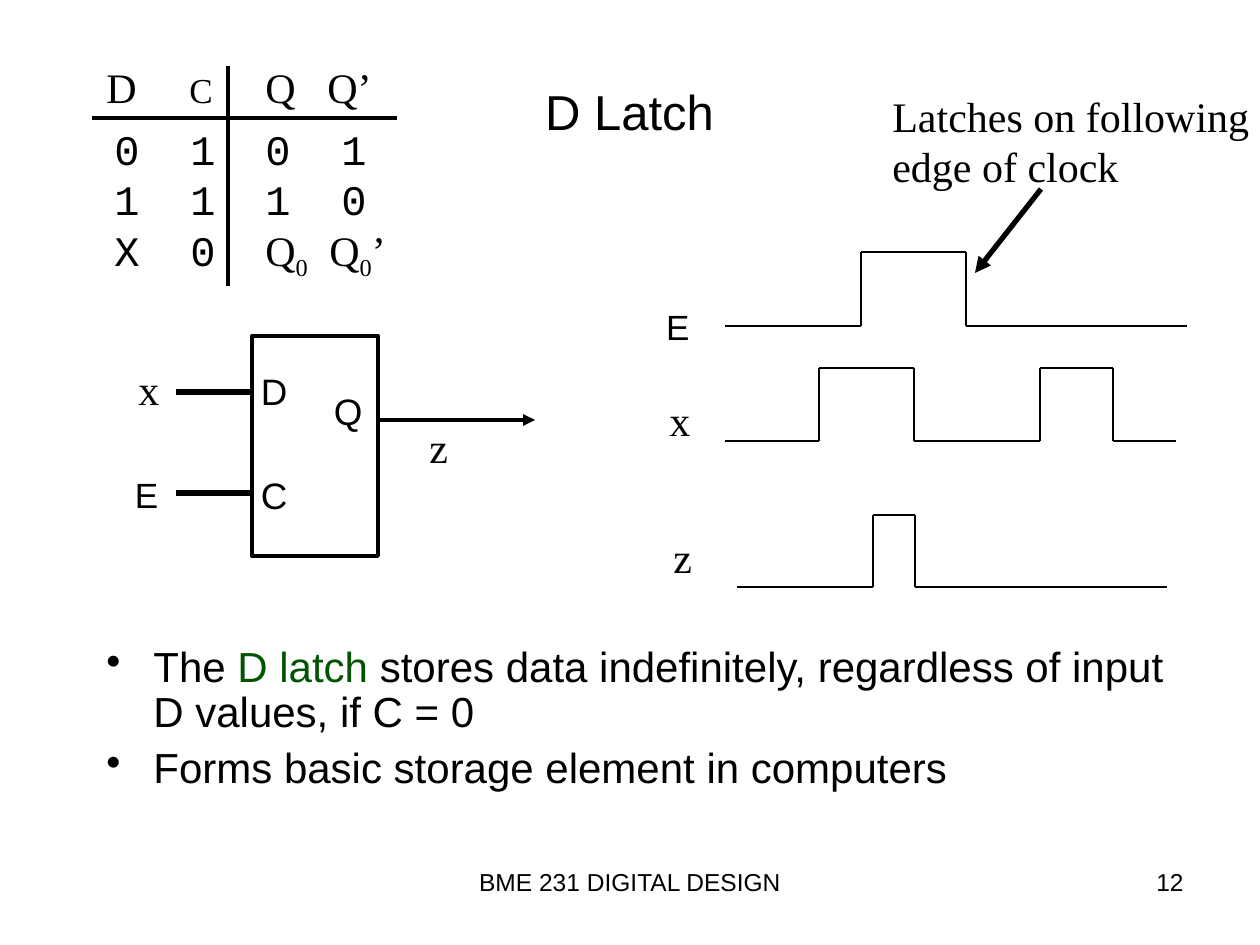
from dataclasses import dataclass
from itertools import cycle, pairwise

from lxml.etree import SubElement
from pptx import Presentation
from pptx.dml.color import RGBColor
from pptx.enum.shapes import MSO_CONNECTOR, MSO_SHAPE
from pptx.enum.text import MSO_ANCHOR, PP_ALIGN
from pptx.oxml.ns import qn
from pptx.util import Pt

EMU_PER_PX = 914400 / 126


@dataclass(frozen=True)
class Theme:
    ink: RGBColor = RGBColor(0, 0, 0)
    accent: RGBColor = RGBColor(0x00, 0x54, 0x00)
    sans: str = "Arial"
    serif: str = "Times New Roman"
    mono: str = "Courier New"
    title: int = 28
    body: int = 24
    pin: int = 21
    signal: int = 20
    footer: int = 14
    hairline: float = 0.75
    level: float = 1
    outline: float = 2.25
    heavy: float = 3


THEME = Theme()


def px(length):
    return round(length * EMU_PER_PX)


def style(run, face, size, color=THEME.ink):
    run.font.name = face
    run.font.size = Pt(size)
    run.font.color.rgb = color


def add_box(slide, left, top, width, height, inset=True, wrap=False):
    frame = slide.shapes.add_textbox(px(left), px(top), px(width), px(height)).text_frame
    frame.word_wrap = wrap
    if not inset:
        frame.margin_left = frame.margin_right = frame.margin_top = frame.margin_bottom = 0
    return frame


def add_text(slide, text, place, face, size, align=PP_ALIGN.LEFT,
             anchor=MSO_ANCHOR.TOP, **box_options):
    frame = add_box(slide, *place, **box_options)
    frame.text = text
    frame.vertical_anchor = anchor
    for paragraph in frame.paragraphs:
        paragraph.alignment = align
        for run in paragraph.runs:
            style(run, face, size)
    return frame


def add_runs(paragraph, parts):
    """Each part is (text, face, size, color)."""
    for text, *look in parts:
        run = paragraph.add_run()
        run.text = text
        style(run, *look)


def add_tabs(paragraph, stops):
    tabs = SubElement(paragraph._p.get_or_add_pPr(), qn("a:tabLst"))
    for stop in stops:
        SubElement(tabs, qn("a:tab"), pos=str(px(stop)), algn="l")


def add_bullet(paragraph, indent):
    properties = paragraph._p.get_or_add_pPr()
    properties.set("marL", str(px(indent)))
    properties.set("indent", str(-px(indent)))
    SubElement(properties, qn("a:buChar"), char="•")


def add_line(slide, start, end, width, arrow=False):
    line = slide.shapes.add_connector(
        MSO_CONNECTOR.STRAIGHT, *map(px, (*start, *end)))
    line.line.color.rgb = THEME.ink
    line.line.width = Pt(width)
    if arrow:
        SubElement(line.line._get_or_add_ln(), qn("a:tailEnd"), type="triangle")
    SubElement(line._element.spPr, qn("a:effectLst"))


def add_waveform(slide, edges, low, high, level_width):
    """Draw a signal that starts low and toggles at each inner edge."""
    levels = cycle((low, high))
    previous = None
    for (start, end), level in zip(pairwise(edges), levels):
        if previous is not None:
            add_line(slide, (start, previous), (start, level), THEME.hairline)
        add_line(slide, (start, level), (end, level), level_width)
        previous = level


def add_truth_table(slide):
    # Header row
    header = add_box(slide, 94, 55, 300, 63).paragraphs[0]
    add_tabs(header, (83, 159, 221))
    add_runs(header, (("D\t", THEME.serif, THEME.body),
                      ("C\t", THEME.serif, THEME.signal),
                      ("Q\tQ’", THEME.serif, THEME.body)))

    # Value rows
    values = add_text(slide, "0\t1\t0\t1\n1\t1\t1\t0\nX\t0\t", (102, 117, 302, 171),
                      THEME.mono, THEME.body)
    for row, last_column in zip(values.paragraphs, (227, 227, 215)):
        add_tabs(row, (76, 151, last_column))
    hold_row = values.paragraphs[2]
    add_runs(hold_row, ((text, THEME.serif, THEME.body)
                        for text in ("Q", "0", "\tQ", "0", "’")))
    for run in hold_row.runs:
        if run.text == "0":
            run.font._element.set("baseline", "-25000")

    # Rules
    add_line(slide, (228, 66), (228, 286), THEME.outline)
    add_line(slide, (92, 118), (397, 118), THEME.outline)


def add_latch_symbol(slide):
    body = slide.shapes.add_shape(MSO_SHAPE.RECTANGLE, *map(px, (252, 336, 126, 220)))
    body.shadow.inherit = False
    body.fill.background()
    body.line.color.rgb = THEME.ink
    body.line.width = Pt(THEME.outline)

    # Inputs and output
    for y in (392, 493):
        add_line(slide, (253, y), (176, y), THEME.heavy)
    add_line(slide, (378, 420), (535, 420), THEME.outline, arrow=True)

    # Pin names inside, signal names outside
    for pin, left, top in (("D", 261, 369), ("Q", 334, 389), ("C", 261, 473)):
        add_text(slide, pin, (left, top, 36, 44), THEME.sans, THEME.pin, inset=False)
    add_text(slide, "E", (135, 473, 33, 42), THEME.sans, THEME.signal, inset=False)
    for signal, left, top in (("x", 126, 357), ("z", 417, 415)):
        add_text(slide, signal, (left, top, 45, 63), THEME.serif, THEME.body)


def add_timing_diagram(slide):
    add_waveform(slide, (725, 861, 966, 1187), 326, 252, THEME.hairline)
    add_waveform(slide, (725, 819, 914, 1040, 1113, 1176), 441, 368, THEME.level)
    add_waveform(slide, (737, 873, 915, 1167), 587, 515, THEME.level)

    # Signal names
    add_text(slide, "E", (666, 305, 32, 42), THEME.sans, THEME.signal, inset=False)
    for signal, left, top in (("x", 657, 388), ("z", 661, 525)):
        add_text(slide, signal, (left, top, 45, 63), THEME.serif, THEME.body)

    # Note on the falling edge
    add_text(slide, "Latches on following\nedge of clock", (880, 84, 392, 114),
             THEME.serif, THEME.body)
    add_line(slide, (1041, 189), (975, 273), THEME.heavy, arrow=True)


def add_summary(slide):
    points = (
        (("The", THEME.ink), (" D latch ", THEME.accent),
         ("stores data indefinitely, regardless of input D values, if C = 0", THEME.ink)),
        (("Forms basic storage element in computers", THEME.ink),),
    )
    frame = add_box(slide, 94, 640, 1113, 220, wrap=True)
    for number, point in enumerate(points):
        paragraph = frame.add_paragraph() if number else frame.paragraphs[0]
        add_bullet(paragraph, 47)
        paragraph.line_spacing = 0.9
        if number:
            paragraph.space_before = Pt(6)
        add_runs(paragraph, ((text, THEME.sans, THEME.body, color) for text, color in point))


def main():
    deck = Presentation()
    deck.slide_width, deck.slide_height = px(1260), px(945)
    slide = deck.slides.add_slide(deck.slide_layouts[6])

    add_text(slide, "D Latch", (94, 32, 1071, 157), THEME.sans, THEME.title,
             PP_ALIGN.CENTER, MSO_ANCHOR.MIDDLE, wrap=True)
    add_timing_diagram(slide)
    add_latch_symbol(slide)
    add_summary(slide)
    add_truth_table(slide)

    # Footer
    add_text(slide, "BME 231 DIGITAL DESIGN", (431, 861, 398, 64), THEME.sans,
             THEME.footer, PP_ALIGN.CENTER, wrap=True)
    add_text(slide, "12", (903, 861, 293, 64), THEME.sans, THEME.footer,
             PP_ALIGN.RIGHT, wrap=True)
    deck.save("out.pptx")


if __name__ == "__main__":
    main()
